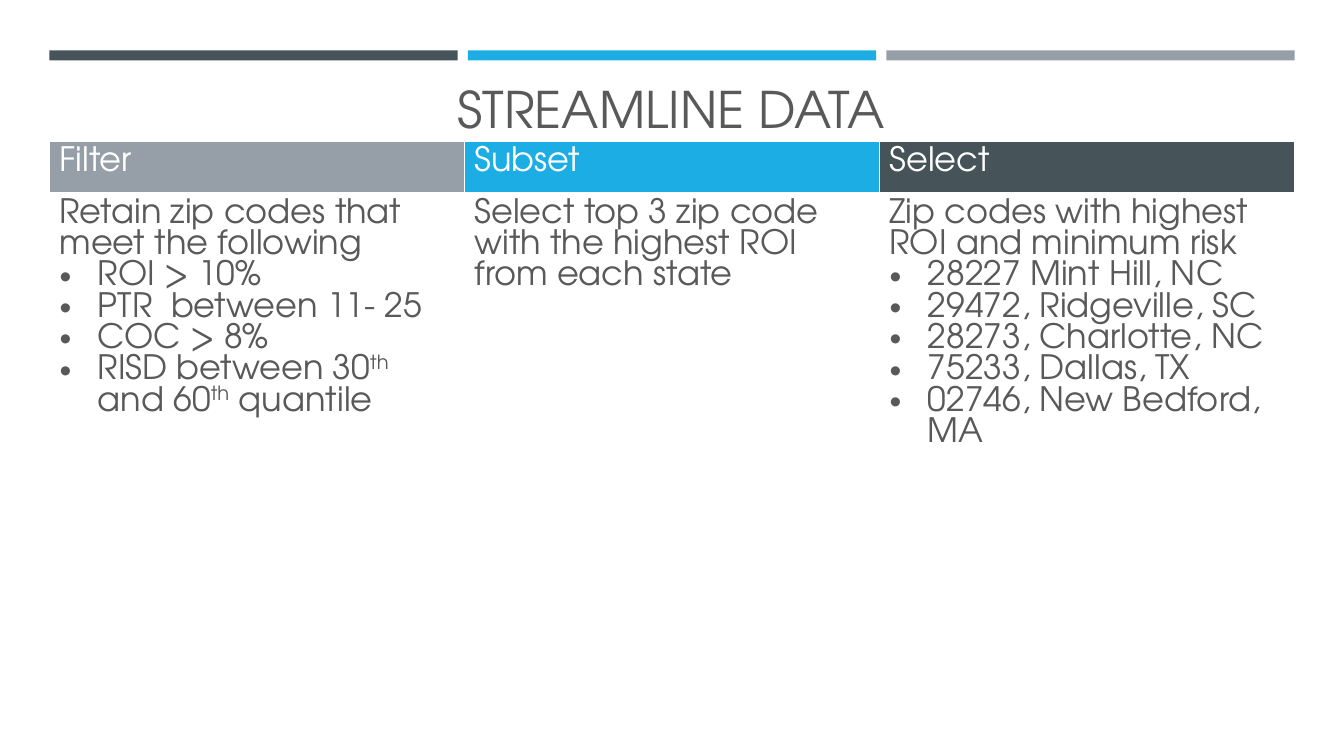
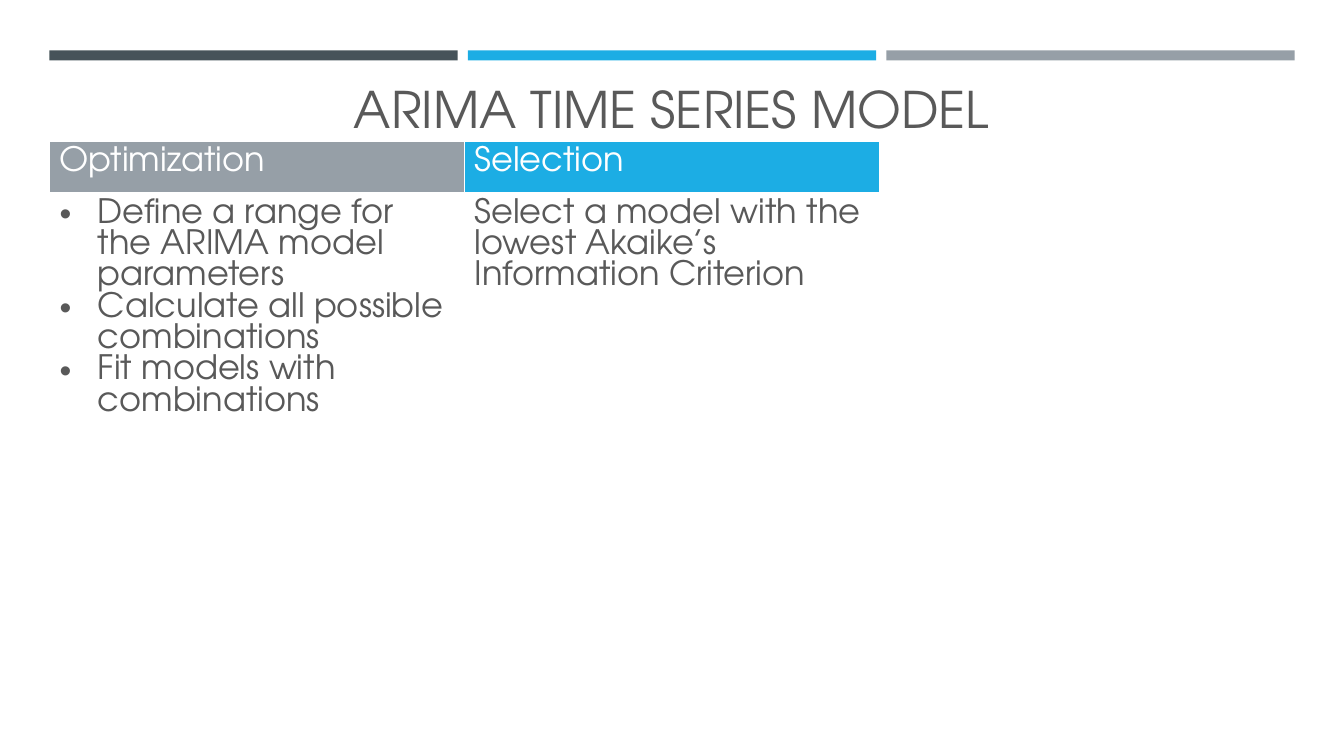
import lxml.etree
import pptx
import pptx.dml.color
import pptx.enum.shapes
import pptx.enum.text
import pptx.oxml.ns
import pptx.util

Inches, Pt = pptx.util.Inches, pptx.util.Pt
RGBColor = pptx.dml.color.RGBColor
qn = pptx.oxml.ns.qn

SLATE = RGBColor(0x46, 0x53, 0x59)
BLUE = RGBColor(0x1C, 0xAD, 0xE4)
GRAY = RGBColor(0x96, 0x9F, 0xA7)
WHITE = RGBColor(0xFF, 0xFF, 0xFF)
INK = RGBColor(0x59, 0x59, 0x59)
FONT = "TeX Gyre Adventor"

BAND_COLORS = [SLATE, BLUE, GRAY]
HEADER_COLORS = [GRAY, BLUE, SLATE]
LEFT, WIDTH, BAND_GAP = 0.49, 12.35, 0.1
ROW_HEIGHTS = [0.52, 4.85]

# Each column is (heading, introduction, bullets); a tuple bullet alternates
# normal and superscript text.
SLIDES = [
    ("STREAMLINE DATA", [
        ("Filter", "Retain zip codes that meet the following", [
            "ROI > 10%",
            "PTR  between 11- 25",
            "COC > 8%",
            ("RISD between 30", "th", " and 60", "th", " quantile"),
        ]),
        ("Subset", "Select top 3 zip code with the highest ROI from each state", []),
        ("Select", "Zip codes with highest ROI and minimum risk", [
            "28227 Mint Hill, NC",
            "29472, Ridgeville, SC",
            "28273, Charlotte, NC",
            "75233, Dallas, TX",
            "02746, New Bedford, MA",
        ]),
    ]),
    ("ARIMA TIME SERIES MODEL", [
        ("Optimization", "", [
            "Define a range for the ARIMA model parameters",
            "Calculate all possible combinations",
            "Fit models with combinations",
        ]),
        ("Selection", "Select a model with the lowest Akaike’s Information Criterion", []),
        ("", "", []),
    ]),
]


def set_font(paragraph, size, color):
    paragraph.font.name = FONT
    paragraph.font.size = Pt(size)
    paragraph.font.color.rgb = color


def add_bands(slide):
    count = len(BAND_COLORS)
    width = (WIDTH - BAND_GAP * (count - 1)) / count
    for i, color in enumerate(BAND_COLORS):
        band = slide.shapes.add_shape(
            pptx.enum.shapes.MSO_SHAPE.RECTANGLE,
            Inches(LEFT + i * (width + BAND_GAP)), Inches(0.5), Inches(width), Inches(0.1))
        band.shadow.inherit = False
        band.fill.solid()
        band.fill.fore_color.rgb = color
        band.line.fill.background()


def add_title(slide, text):
    title = slide.shapes.add_textbox(Inches(0.63), Inches(0.7), Inches(12.06), Inches(0.72))
    frame = title.text_frame
    frame.word_wrap = True
    frame.vertical_anchor = pptx.enum.text.MSO_ANCHOR.BOTTOM
    paragraph = frame.paragraphs[0]
    paragraph.text = text
    paragraph.alignment = pptx.enum.text.PP_ALIGN.CENTER
    set_font(paragraph, 36, INK)


def style_cell(cell, color, top, bottom):
    """Set white borders, with the given top and bottom widths, and the fill."""
    properties = cell._tc.get_or_add_tcPr()
    for side, points in (("L", 1), ("R", 1), ("T", top), ("B", bottom)):
        border = lxml.etree.SubElement(properties, qn(f"a:ln{side}"), w=str(Pt(points)))
        fill = lxml.etree.SubElement(border, qn("a:solidFill"))
        lxml.etree.SubElement(fill, qn("a:srgbClr"), val=str(WHITE))
    if color is None:
        cell.fill.background()
    else:
        cell.fill.solid()
        cell.fill.fore_color.rgb = color


def make_bullet(paragraph):
    properties = paragraph._p.get_or_add_pPr()
    indent = Inches(0.38)
    properties.set("marL", str(indent))
    properties.set("indent", str(-indent))
    bullet_font = lxml.etree.Element(qn("a:buFont"), typeface="Arial")
    bullet = lxml.etree.Element(qn("a:buChar"), char="•")
    properties.insert(0, bullet_font)
    properties.insert(1, bullet)


def fill_body(cell, intro, bullets):
    items = ([(intro, False)] if intro else []) + [(bullet, True) for bullet in bullets]
    frame = cell.text_frame
    for i, (content, bulleted) in enumerate(items):
        paragraph = frame.add_paragraph() if i else frame.paragraphs[0]
        parts = (content,) if isinstance(content, str) else content
        for n, part in enumerate(parts):
            run = paragraph.add_run()
            run.text = part
            if n % 2:
                run._r.get_or_add_rPr().set("baseline", "30000")
        if bulleted:
            make_bullet(paragraph)
        set_font(paragraph, 24, INK)


def add_columns(slide, columns):
    table = slide.shapes.add_table(
        2, len(columns), Inches(LEFT), Inches(1.4),
        Inches(WIDTH), Inches(sum(ROW_HEIGHTS))).table
    table.first_row = table.horz_banding = False
    for row, height in zip(table.rows, ROW_HEIGHTS):
        row.height = Inches(height)
    for i, (heading, intro, bullets) in enumerate(columns):
        table.columns[i].width = Inches(WIDTH / len(columns))
        header, body = table.cell(0, i), table.cell(1, i)
        style_cell(header, HEADER_COLORS[i] if heading else None, 1, 3)
        style_cell(body, None, 3, 1)
        if heading:
            header.text = heading
            set_font(header.text_frame.paragraphs[0], 24, WHITE)
        fill_body(body, intro, bullets)


def main():
    deck = pptx.Presentation()
    deck.slide_width, deck.slide_height = Inches(13.33), Inches(7.5)
    for title, columns in SLIDES:
        slide = deck.slides.add_slide(deck.slide_layouts[6])
        add_bands(slide)
        add_columns(slide, columns)
        add_title(slide, title)
    deck.save("out.pptx")


if __name__ == "__main__":
    main()
